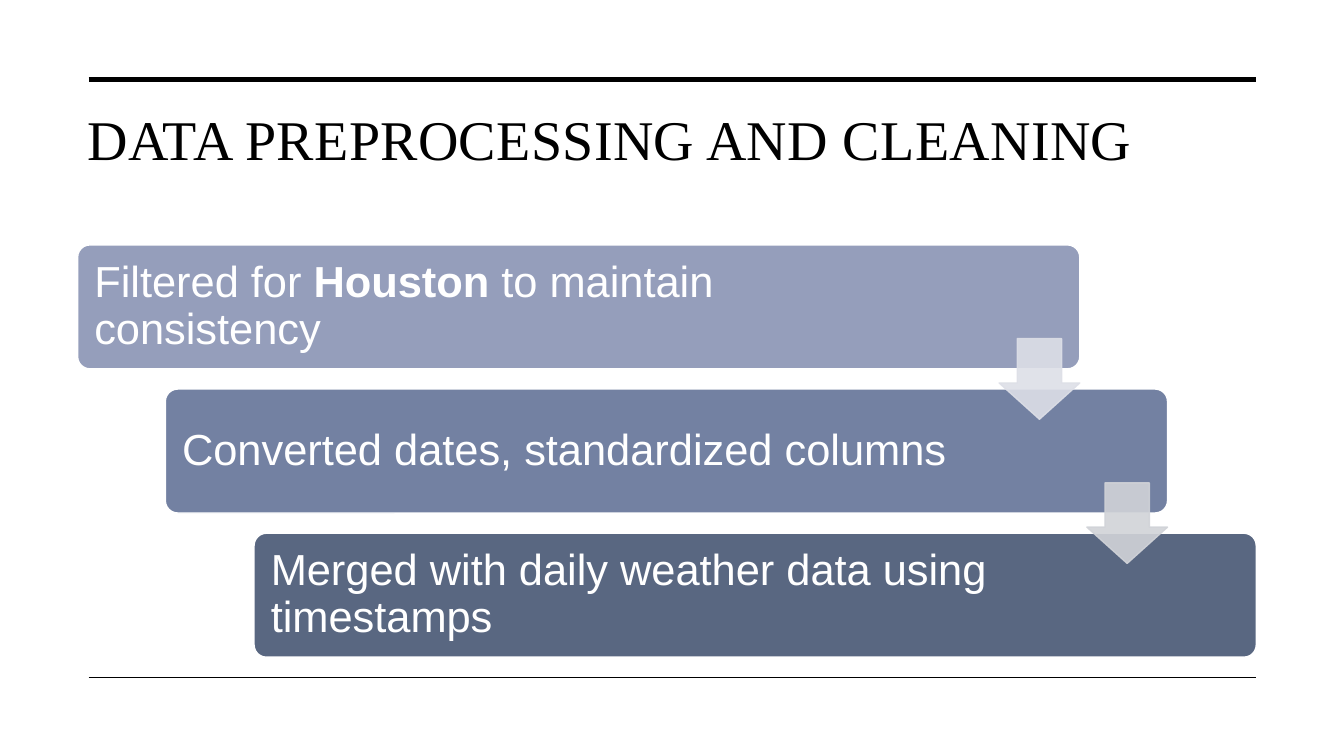
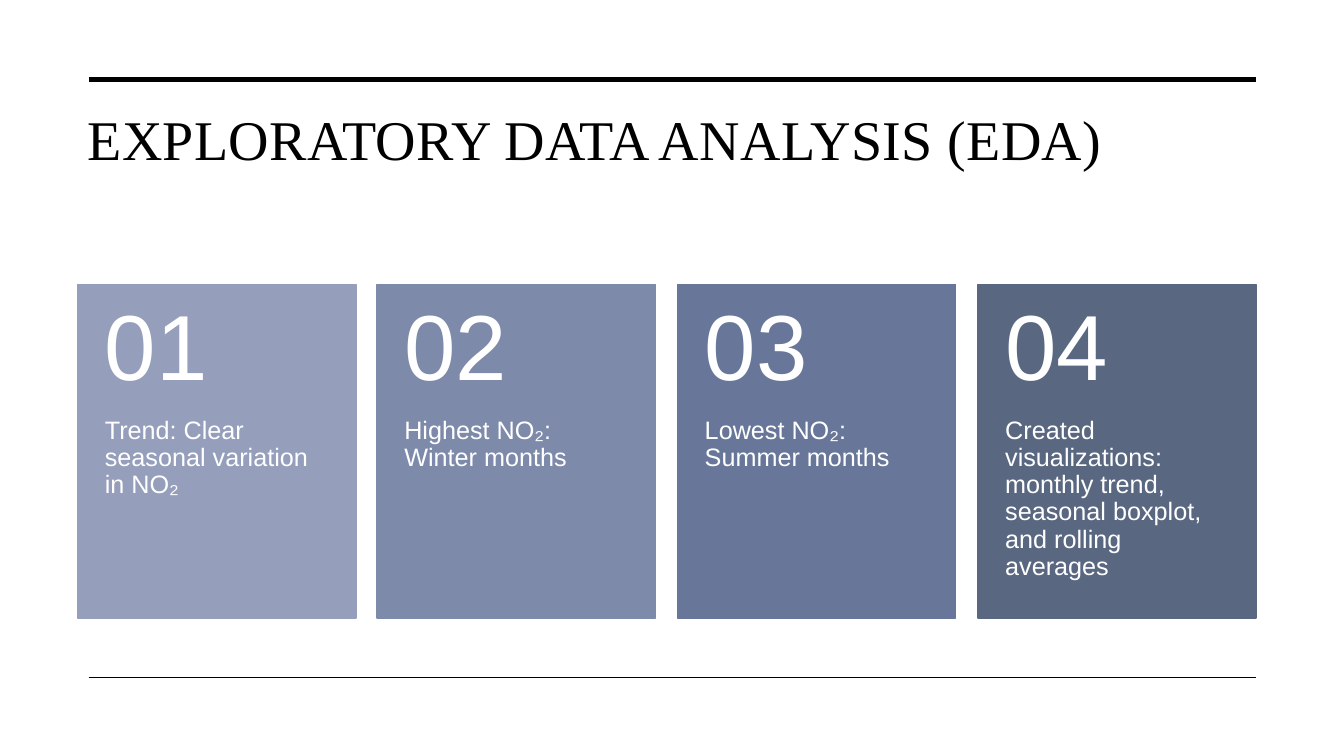
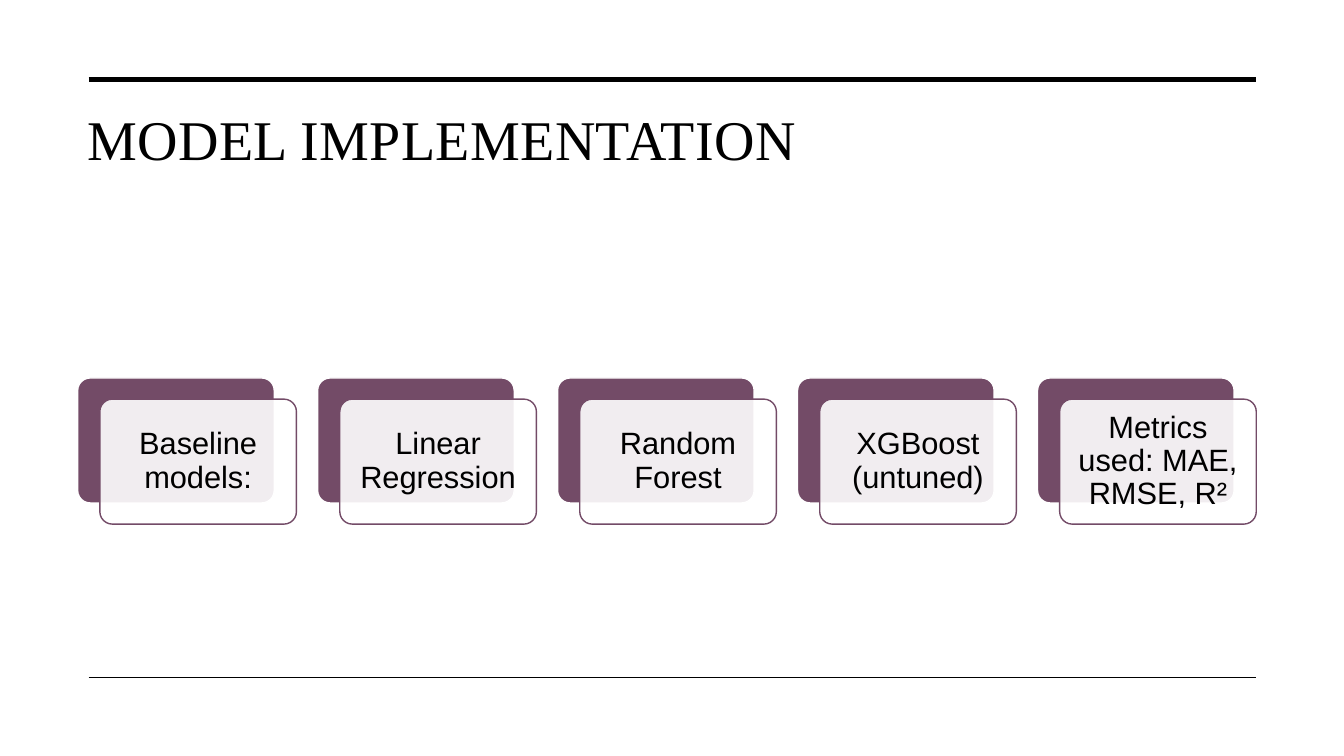
import pptx
import pptx.dml.color
import pptx.enum.shapes
import pptx.enum.text
import pptx.oxml.ns
import pptx.util
import lxml.etree

EMU_PER_PX = 9144
COLOURS = {
    "black": "000000",
    "white": "FFFFFF",
    "mist": "959EBB",
    "haze": "7E8AAA",
    "steel": "7381A2",
    "blue": "687799",
    "slate": "596781",
    "pale_arrow": "DDDFE7",
    "grey_arrow": "D1D3D8",
    "plum": "734B67",
}
TITLE_FONT = "Times New Roman"
BODY_FONT = "Arial"
SHAPES = pptx.enum.shapes.MSO_SHAPE
ANCHORS = pptx.enum.text.MSO_ANCHOR
ALIGNMENTS = pptx.enum.text.PP_ALIGN

TITLE_BOX = (77, 99, 1169, 126)
STEPS_BOX = (77, 243, 1169, 409)
CARDS_BOX = (77, 282, 1169, 331)
MODELS_BOX = (77, 375, 1169, 145)

STEPS = [
    ([("Filtered for ", False), ("Houston", True), (" to maintain consistency", False)], "mist"),
    ([("Converted dates, standardized columns", False)], "steel"),
    ([("Merged with daily weather data using timestamps", False)], "slate"),
]
STEP_ARROWS = ["pale_arrow", "grey_arrow"]
FINDINGS = [
    ("Trend: Clear seasonal variation in NO₂", "mist"),
    ("Highest NO₂: Winter months", "haze"),
    ("Lowest NO₂: Summer months", "blue"),
    ("Created visualizations: monthly trend, seasonal boxplot, and rolling averages", "slate"),
]
MODELS = [
    "Baseline models:",
    "Linear Regression",
    "Random Forest",
    "XGBoost (untuned)",
    "Metrics used: MAE, RMSE, R²",
]


def px(length):
    return pptx.util.Emu(length * EMU_PER_PX)


def colour(name):
    return pptx.dml.color.RGBColor.from_string(COLOURS[name])


def spread(start, length, size, count):
    return [start + (length - size) * index // (count - 1) for index in range(count)]


def set_opacity(fill_parent, percent):
    for value in fill_parent.iter(pptx.oxml.ns.qn("a:srgbClr")):
        alpha = lxml.etree.SubElement(value, pptx.oxml.ns.qn("a:alpha"))
        alpha.set("val", str(percent * 1000))


def add_block(slide, kind, box, fill, line, adjustments=()):
    shape = slide.shapes.add_shape(kind, *map(px, box))
    shape.shadow.inherit = False
    for index, value in enumerate(adjustments):
        shape.adjustments[index] = value
    shape.fill.solid()
    shape.fill.fore_color.rgb = colour(fill)
    shape.line.color.rgb = colour(line)
    shape.line.width = pptx.util.Pt(1)
    return shape


def write_text(shape, text, size, font=BODY_FONT, ink="white", margins=(10, 5, 10, 5),
               anchor=ANCHORS.TOP, align=ALIGNMENTS.LEFT, line_spacing=0.9, tracking=0):
    frame = shape.text_frame
    frame.word_wrap = True
    frame.vertical_anchor = anchor
    frame.margin_left, frame.margin_top, frame.margin_right, frame.margin_bottom = map(px, margins)
    paragraph = frame.paragraphs[0]
    paragraph.alignment = align
    paragraph.line_spacing = line_spacing
    for words, bold in [(text, False)] if isinstance(text, str) else text:
        run = paragraph.add_run()
        run.text = words
        run.font.name = font
        run.font.size = pptx.util.Pt(size)
        run.font.bold = bold
        run.font.color.rgb = colour(ink)
        if tracking:
            run.font._element.set("spc", str(tracking))


def add_text(slide, box, text, **text_format):
    write_text(slide.shapes.add_textbox(*map(px, box)), text, **text_format)


def add_rule(slide, top, weight):
    rule = slide.shapes.add_connector(
        pptx.enum.shapes.MSO_CONNECTOR.STRAIGHT, px(88), px(top), px(1246), px(top))
    rule.line.color.rgb = colour("black")
    rule.line.width = pptx.util.Pt(weight)
    lxml.etree.SubElement(rule._element.spPr, pptx.oxml.ns.qn("a:effectLst"))


def add_titled_slide(presentation, title):
    slide = presentation.slides.add_slide(presentation.slide_layouts[6])
    add_text(slide, TITLE_BOX, title, size=40, font=TITLE_FONT, ink="black",
             line_spacing=1.0, tracking=30)
    add_rule(slide, 79, 3.5)
    add_rule(slide, 672, 1)
    return slide


def add_steps(slide, box):
    left, top, width, height = box
    step_width, step_height, arrow_size = 994, 123, 80
    lefts = spread(left, width, step_width, len(STEPS))
    tops = spread(top, height, step_height, len(STEPS))
    for (text, fill), step_left, step_top in zip(STEPS, lefts, tops):
        step = add_block(slide, SHAPES.ROUNDED_RECTANGLE,
                         (step_left, step_top, step_width, step_height), fill, "white", [0.1])
        write_text(step, text, size=31, margins=(13, 13, 180, 13), anchor=ANCHORS.MIDDLE)
    for fill, step_left, step_top in zip(STEP_ARROWS, lefts, tops):
        arrow_box = (step_left + step_width - arrow_size, step_top + 93, arrow_size, arrow_size)
        arrow = add_block(slide, SHAPES.DOWN_ARROW, arrow_box, fill, fill, [0.55, 0.45])
        set_opacity(arrow._element.spPr, 90)


def add_cards(slide, box):
    left, top, width, height = box
    card_width, number_height = 276, 132
    lefts = spread(left, width, card_width, len(FINDINGS))
    for number, ((text, fill), card_left) in enumerate(zip(FINDINGS, lefts), 1):
        add_block(slide, SHAPES.RECTANGLE, (card_left, top, card_width, height), fill, fill)
        add_text(slide, (card_left, top + number_height, card_width, height - number_height),
                 text, size=18, margins=(27, 0, 27, 36))
        add_text(slide, (card_left, top, card_width, number_height), f"{number:02d}",
                 size=66, margins=(27, 18, 27, 18), anchor=ANCHORS.MIDDLE)


def add_models(slide, box):
    left, top, width, height = box
    card_width, card_height = 195, 124
    offset_x, offset_y = 22, height - card_height
    lefts = spread(left, width, card_width + offset_x, len(MODELS))
    for text, card_left in zip(MODELS, lefts):
        add_block(slide, SHAPES.ROUNDED_RECTANGLE,
                  (card_left, top, card_width, card_height), "plum", "white", [0.1])
        front_box = (card_left + offset_x, top + offset_y, card_width, card_height)
        front = add_block(slide, SHAPES.ROUNDED_RECTANGLE, front_box, "white", "plum", [0.1])
        set_opacity(front._element.spPr.find(pptx.oxml.ns.qn("a:solidFill")), 90)
        write_text(front, text, size=22, ink="black", margins=(9, 9, 9, 9),
                   anchor=ANCHORS.MIDDLE, align=ALIGNMENTS.CENTER)


def main():
    presentation = pptx.Presentation()
    presentation.slide_width = px(1333)
    presentation.slide_height = px(750)
    add_steps(add_titled_slide(presentation, "DATA PREPROCESSING AND CLEANING"), STEPS_BOX)
    add_cards(add_titled_slide(presentation, "EXPLORATORY DATA ANALYSIS (EDA)"), CARDS_BOX)
    add_models(add_titled_slide(presentation, "MODEL IMPLEMENTATION"), MODELS_BOX)
    presentation.save("out.pptx")


if __name__ == "__main__":
    main()
